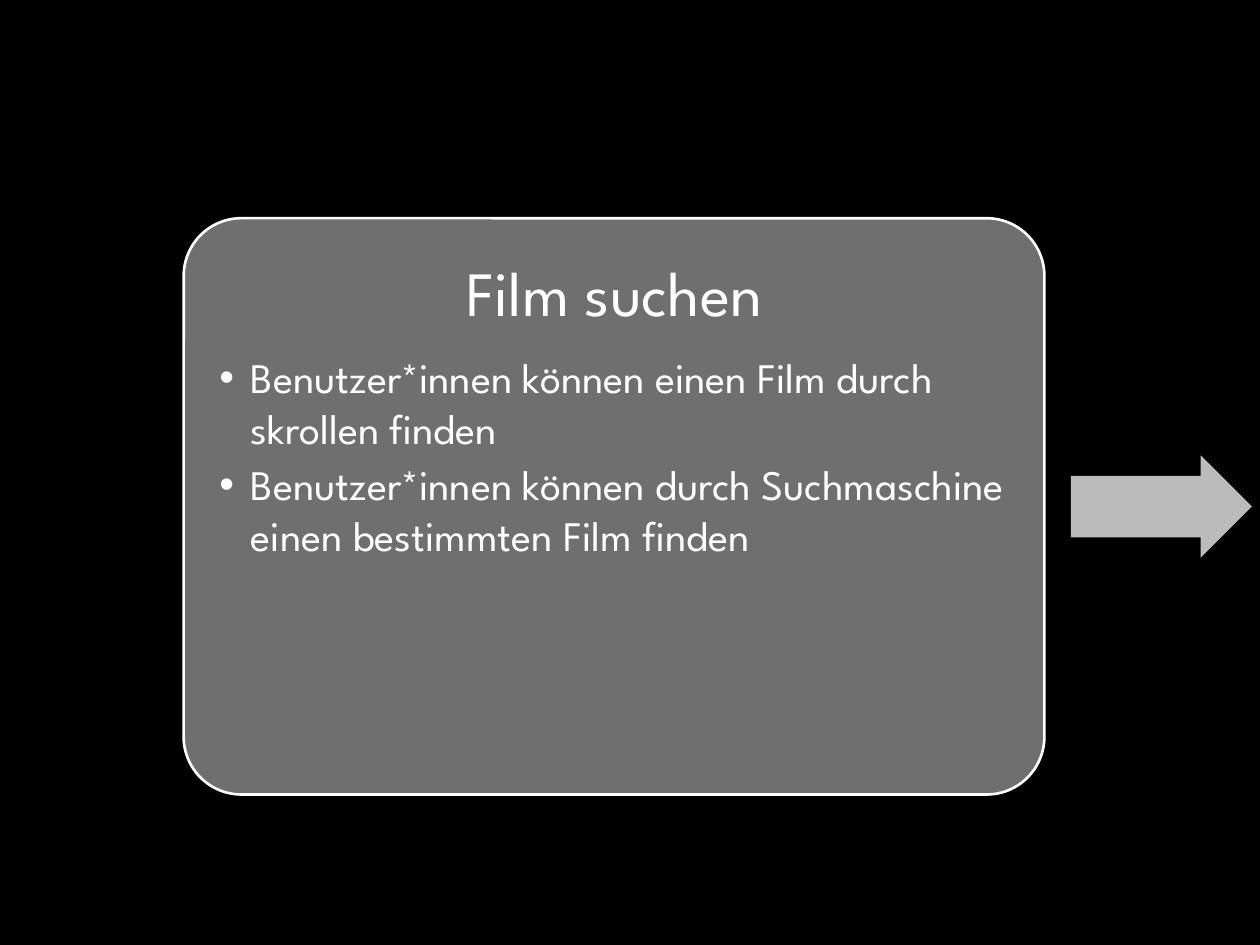
from lxml import etree
from pptx import Presentation
from pptx import util as u
from pptx.dml import color
from pptx.enum import shapes, text
from pptx.oxml import ns

FONT = "League Spartan"
WHITE = "FFFFFF"
HEADING = "Film suchen"
BULLETS = [
    "Benutzer*innen können einen Film durch skrollen finden",
    "Benutzer*innen können durch Suchmaschine einen bestimmten Film finden",
]


def rgb(hex_color):
    """Turn a hex string into a colour."""
    return color.RGBColor.from_string(hex_color)


def add_block(slide, kind, box, fill, adjustments):
    """Add a filled preset shape without outline or shadow."""
    shape = slide.shapes.add_shape(kind, *map(u.Pt, box))
    shape.shadow.inherit = False
    shape.fill.solid()
    shape.fill.fore_color.rgb = rgb(fill)
    shape.line.fill.background()
    for index, value in enumerate(adjustments):
        shape.adjustments[index] = value
    return shape


def format_paragraph(paragraph, size, after, alignment):
    """Set the font, spacing and alignment of a paragraph."""
    paragraph.alignment = alignment
    paragraph.line_spacing = 1.0
    paragraph.space_before = u.Pt(0)
    paragraph.space_after = u.Pt(size * after)
    for run in paragraph.runs:
        run.font.name = FONT
        run.font.size = u.Pt(size)
        run.font.color.rgb = rgb(WHITE)


def set_bullet(paragraph, character, indent):
    """Set the bullet character and hanging indent, or none of either."""
    properties = paragraph._p.get_or_add_pPr()
    properties.set("marL", str(u.Pt(indent)))
    properties.set("indent", str(-u.Pt(indent)))
    if character:
        font = etree.SubElement(properties, ns.qn("a:buFont"))
        font.set("typeface", "Arial")
        bullet = etree.SubElement(properties, ns.qn("a:buChar"))
        bullet.set("char", character)
    else:
        etree.SubElement(properties, ns.qn("a:buNone"))


def fill_body(body, box):
    """Place the body placeholder and write the heading and its list."""
    body.left, body.top, body.width, body.height = map(u.Pt, box)
    frame = body.text_frame
    frame.word_wrap = True
    frame.auto_size = text.MSO_AUTO_SIZE.NONE
    frame.vertical_anchor = text.MSO_ANCHOR.TOP
    frame.margin_left = frame.margin_right = u.Pt(10.8)
    frame.margin_top = frame.margin_bottom = u.Pt(10.8)
    frame.text = "\n".join([HEADING, *BULLETS])
    heading, *items = frame.paragraphs
    format_paragraph(heading, 36, 0.35, text.PP_ALIGN.CENTER)
    set_bullet(heading, None, 0)
    for item in items:
        item.level = 1
        format_paragraph(item, 24, 0.15, text.PP_ALIGN.LEFT)
        set_bullet(item, "•", 18)


def add_card(slide, box):
    """Draw the rounded card behind the text that it holds."""
    left, top, width, height = box
    card = add_block(slide, shapes.MSO_SHAPE.ROUNDED_RECTANGLE, box, "6F6F6F", [0.1])
    card.line.color.rgb = rgb(WHITE)
    card.line.width = u.Pt(1.5)
    body = slide.placeholders[1]
    body._element.addprevious(card._element)
    inset = 9.6
    fill_body(body, (left + inset, top + inset, width - 2 * inset, height - 2 * inset))


def main():
    """Build the slide and save it."""
    presentation = Presentation()
    presentation.slide_width, presentation.slide_height = u.Pt(720), u.Pt(540)
    slide = presentation.slides.add_slide(presentation.slide_layouts[1])
    slide.background.fill.solid()
    slide.background.fill.fore_color.rgb = rgb("000000")
    title = slide.shapes.title._element
    title.getparent().remove(title)
    add_card(slide, (105, 124.7, 491.8, 329.3))
    add_block(slide, shapes.MSO_SHAPE.RIGHT_ARROW, (612, 260.2, 103.4, 58.6), "BBBBBB", [0.6, 0.5])
    presentation.save("out.pptx")


if __name__ == "__main__":
    main()
